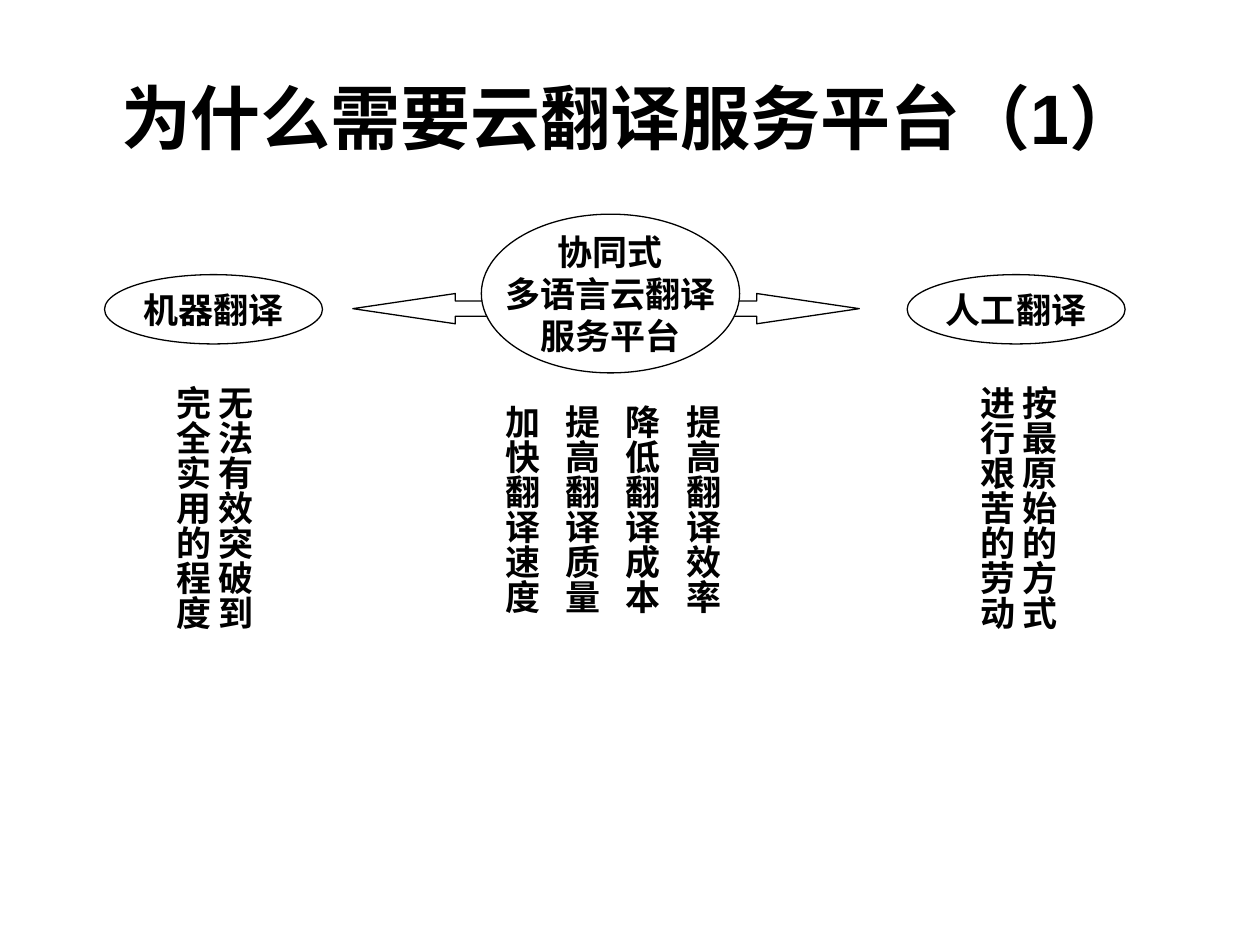
from dataclasses import dataclass

from pptx import Presentation
from pptx.dml.color import RGBColor
from pptx.enum.shapes import MSO_SHAPE as Kind
from pptx.enum.text import MSO_ANCHOR as Anchor, MSO_AUTO_SIZE as Fit, PP_ALIGN as Align
from pptx.util import Inches, Pt

BLACK = RGBColor(0, 0, 0)
WHITE = RGBColor(255, 255, 255)
SANS = "Arial"
SERIF = "Times New Roman"
COLS, ROWS = 100, 75


@dataclass
class Area:
    col: float
    row: float
    wide: float
    high: float


@dataclass
class Oval:
    text: str
    area: Area
    solid: bool = False


@dataclass
class Note:
    text: str
    area: Area
    font: str
    wrap: bool


deck = Presentation()
deck.slide_width, deck.slide_height = Inches(10), Inches(7.5)
slide = deck.slides.add_slide(deck.slide_layouts[5])


def place(area: Area) -> tuple[int, int, int, int]:
    wide, high = deck.slide_width / COLS, deck.slide_height / ROWS
    return (round(area.col * wide), round(area.row * high),
            round(area.wide * wide), round(area.high * high))


def style(frame, font: str, size: int, align: Align) -> None:
    for para in frame.paragraphs:
        para.alignment = align
        for run in para.runs:
            run.font.name = font
            run.font.size = Pt(size)
            run.font.bold = True
            run.font.color.rgb = BLACK


def pad(frame, side: float, end: float) -> None:
    frame.margin_left = frame.margin_right = Inches(side)
    frame.margin_top = frame.margin_bottom = Inches(end)


def draw_shape(kind: Kind, area: Area, solid: bool):
    shape = slide.shapes.add_shape(kind, *place(area))
    shape.shadow.inherit = False
    if solid:
        shape.fill.solid()
        shape.fill.fore_color.rgb = WHITE
    else:
        shape.fill.background()
    shape.line.color.rgb = BLACK
    shape.line.width = Pt(0.75)
    return shape


def draw_oval(oval: Oval) -> None:
    frame = draw_shape(Kind.OVAL, oval.area, oval.solid).text_frame
    frame.text = oval.text
    frame.word_wrap = False
    frame.vertical_anchor = Anchor.MIDDLE
    pad(frame, 0.1, 0.05)
    style(frame, SERIF, 20, Align.CENTER)


def draw_note(note: Note) -> None:
    box = slide.shapes.add_textbox(*place(note.area))
    frame = box.text_frame
    frame.text = note.text
    frame.word_wrap = note.wrap
    frame.auto_size = Fit.SHAPE_TO_FIT_TEXT
    pad(frame, 0.05, 0.1)
    box.element.txBody.bodyPr.set("vert", "eaVert")
    style(frame, note.font, 20, Align.LEFT)


def draw_title(text: str, area: Area) -> None:
    title = slide.shapes.title
    title.left, title.top, title.width, title.height = place(area)
    title.text_frame.text = text
    title.text_frame.vertical_anchor = Anchor.MIDDLE
    style(title.text_frame, SANS, 40, Align.CENTER)


def draw_arrow(area: Area) -> None:
    arrow = draw_shape(Kind.LEFT_RIGHT_ARROW, area, False)
    arrow.adjustments[0] = 0.5
    arrow.adjustments[1] = 3.39


SIDES = [
    Note("无法有效突破到完全实用的程度", Area(12.2, 29.6, 8.6, 22), SERIF, True),
    Note("按最原始的方式进行艰苦的劳动", Area(76, 29.6, 8.6, 22), SERIF, True),
]
ENDS = [
    Oval("机器翻译", Area(8.3, 21.8, 17.3, 5.5)),
    Oval("人工翻译", Area(72, 21.8, 17.3, 5.5)),
]
HUB = Oval("协同式\n多语言云翻译\n服务平台", Area(38.2, 17, 20.5, 12.6), True)
GAINS = ["加快翻译速度", "提高翻译质量", "降低翻译成本", "提高翻译效率"]
STEP = 4.77


def main() -> None:
    draw_title("为什么需要云翻译服务平台（1）", Area(5, 3, 90, 12.5))
    for note in SIDES:
        draw_note(note)
    for oval in ENDS:
        draw_oval(oval)
    draw_arrow(Area(28, 23.3, 40.2, 2.4))
    draw_oval(HUB)
    for i, text in enumerate(GAINS):
        draw_note(Note(text, Area(38.3 + i * STEP, 31.1, 5.3, 17.7), SANS, False))
    deck.save("out.pptx")


if __name__ == "__main__":
    main()
